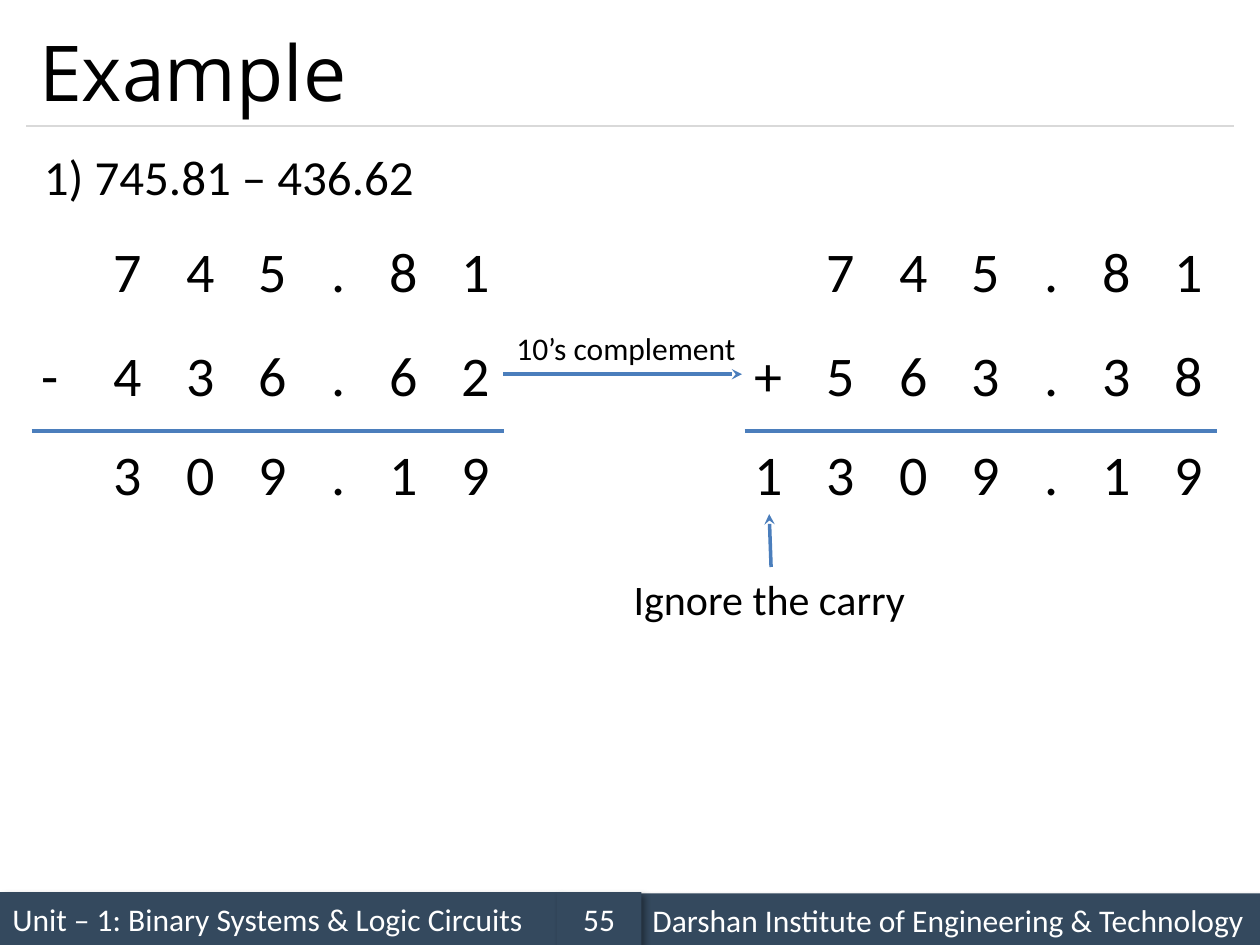
from lxml.etree import SubElement as Sub
from pptx import Presentation
from pptx.dml.color import RGBColor as Rgb
from pptx.enum.shapes import MSO_CONNECTOR as Conn, MSO_SHAPE as Shape
from pptx.enum.text import MSO_ANCHOR as Anchor, MSO_AUTO_SIZE as Auto, PP_ALIGN as Align
from pptx.oxml.ns import qn
from pptx.util import Inches, Pt

HUES = {"ink": "000000", "bar": "34495E", "pale": "FFFFFF",
        "rule": "D9D9D9", "blue": "4B7EBC"}
CELL = 0.1  # grid: 100 columns by 75 rows


class Board:
    """Holds the style and the current slide; lengths are grid cells."""

    def __init__(self, deck):
        self.slide = deck.slides.add_slide(deck.slide_layouts[5])
        self.font = "Calibri"

    def hue(self, name):
        return Rgb.from_string(HUES[name])

    def grid(self, *cells):
        return [Inches(c * CELL) for c in cells]

    def put(self, frame, text, size, hue="ink", font=None, align=Align.LEFT):
        para = frame.paragraphs[0]
        para.alignment = align
        run = para.add_run()
        run.text = text
        run.font.name = font or self.font
        run.font.size = Pt(size)
        run.font.color.rgb = self.hue(hue)

    def title(self, text, *box):
        head = self.slide.shapes.title
        head.left, head.top, head.width, head.height = self.grid(*box)
        head.text_frame.vertical_anchor = Anchor.MIDDLE
        self.put(head.text_frame, text, 44, font="Open Sans")

    def text(self, text, size, *box):
        item = self.slide.shapes.add_textbox(*self.grid(*box))
        item.text_frame.word_wrap = False
        item.text_frame.auto_size = Auto.SHAPE_TO_FIT_TEXT
        self.put(item.text_frame, text, size)
        return item

    def bar(self, text, align, *box):
        item = self.slide.shapes.add_shape(Shape.RECTANGLE, *self.grid(*box))
        item.fill.solid()
        item.fill.fore_color.rgb = self.hue("bar")
        item.line.fill.background()
        item.shadow.inherit = False
        cast = Sub(item._element.spPr.find(qn("a:effectLst")), qn("a:outerShdw"),
                   blurRad=str(Pt(4)), dist=str(Pt(3)), dir=str(45 * 60000),
                   algn="tl", rotWithShape="0")
        tint = Sub(cast, qn("a:srgbClr"), val=HUES["ink"])
        Sub(tint, qn("a:alpha"), val="40000")
        item.text_frame.vertical_anchor = Anchor.MIDDLE
        item.text_frame.word_wrap = True
        self.put(item.text_frame, text, 18, "pale", align=align)

    def line(self, hue, width, *ends):
        item = self.slide.shapes.add_connector(Conn.STRAIGHT, *self.grid(*ends))
        item.line.color.rgb = self.hue(hue)
        item.line.width = Pt(width)
        Sub(item._element.spPr, qn("a:effectLst"))
        return item

    def arrow(self, start, side, end, goal):
        item = self.line("blue", 2, 0, 0, 1, 1)
        item.begin_connect(start, side)
        item.end_connect(end, goal)
        Sub(item._element.spPr.find(qn("a:ln")), qn("a:tailEnd"), type="stealth")

    def sum(self, left, rows):
        """Sets one digit per column; returns the boxes by row and column."""
        step, dot = 5.75, 4.6
        boxes = {}
        for row, (top, chars) in enumerate(zip((18.3, 26.5, 34.4), rows)):
            col = left
            for spot, char in enumerate(chars):
                wide = {".": 3.2, "-": 3.4}.get(char, 4.3)
                if char != " ":
                    boxes[row, spot] = self.text(char, 32, col, top, wide, 6.4)
                col += dot if char == "." else step
        self.line("blue", 2, left + 0.2, 34.2, left + 37.7, 34.2)
        return boxes


def main():
    deck = Presentation()
    deck.slide_width, deck.slide_height = Inches(10), Inches(7.5)
    board = Board(deck)

    # Footer bars and title rule
    board.bar("Unit – 1: Binary Systems & Logic Circuits", Align.LEFT,
              0, 70.8, 44.2, 4.2)
    board.bar("Darshan Institute of Engineering & Technology", Align.LEFT,
              50.8, 70.9, 49.2, 4.2)
    board.bar("55", Align.CENTER, 44.2, 70.8, 6.7, 4.2)
    board.line("rule", 0.75, 2.1, 10, 97.9, 10)

    # Title and task
    board.title("Example", 2.1, 1.2, 95.8, 8.8)
    board.text("1) 745.81 – 436.62", 28, 2.5, 11.1, 31.8, 5.7)

    # Plain subtraction, then addition of the complement
    minus = board.sum(2.3, (" 745.81", "-436.62", " 309.19"))
    plus = board.sum(58.9, (" 745.81", "+563.38", "1309.19"))

    # Notes and their arrows
    carry = board.text("Ignore the carry", 24, 49.3, 45, 23.8, 5)
    board.arrow(carry, 0, plus[2, 0], 2)
    board.text("10’s complement", 18, 40, 25.6, 19.6, 4)
    board.arrow(minus[1, 6], 3, plus[1, 0], 1)

    deck.save("out.pptx")


if __name__ == "__main__":
    main()
